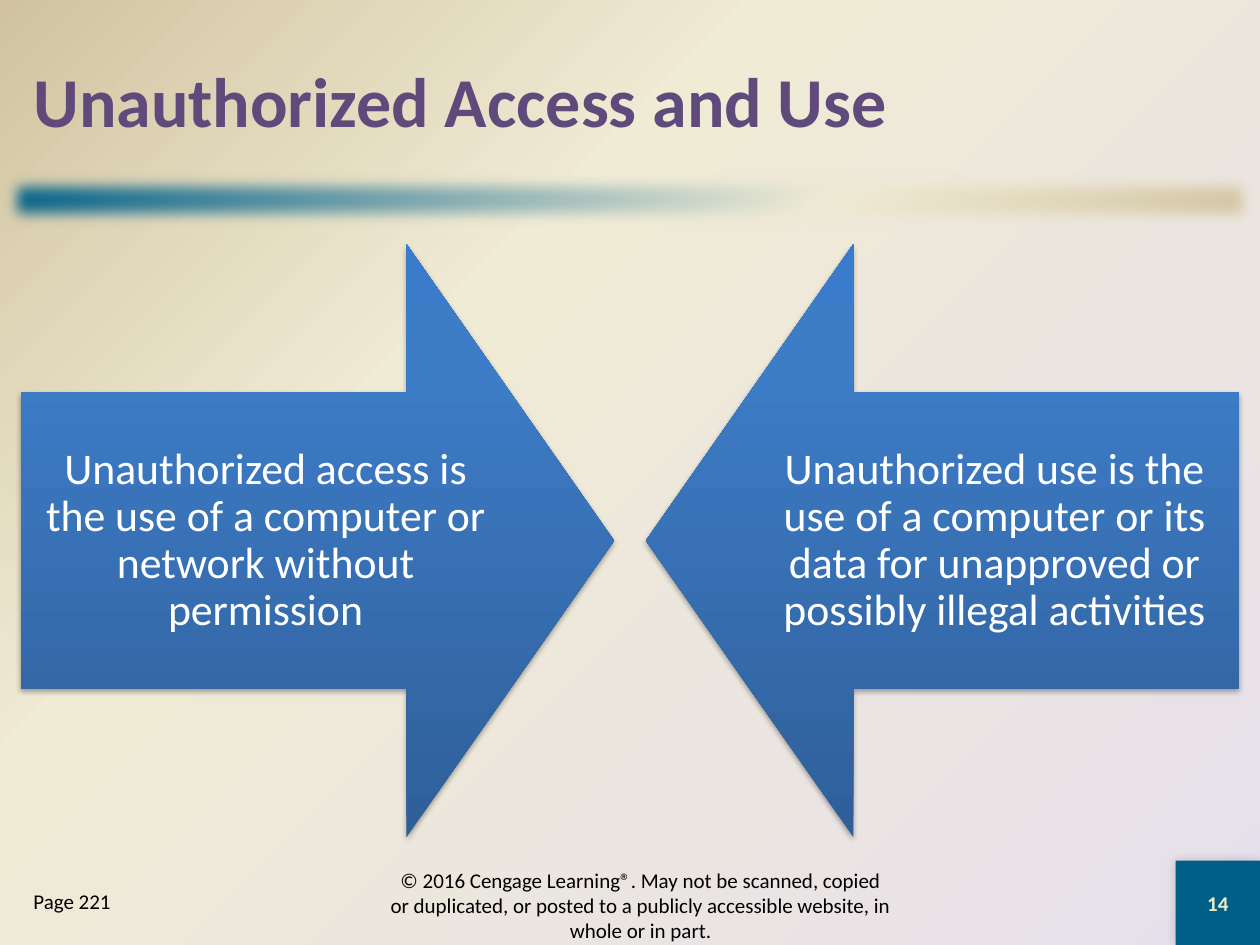
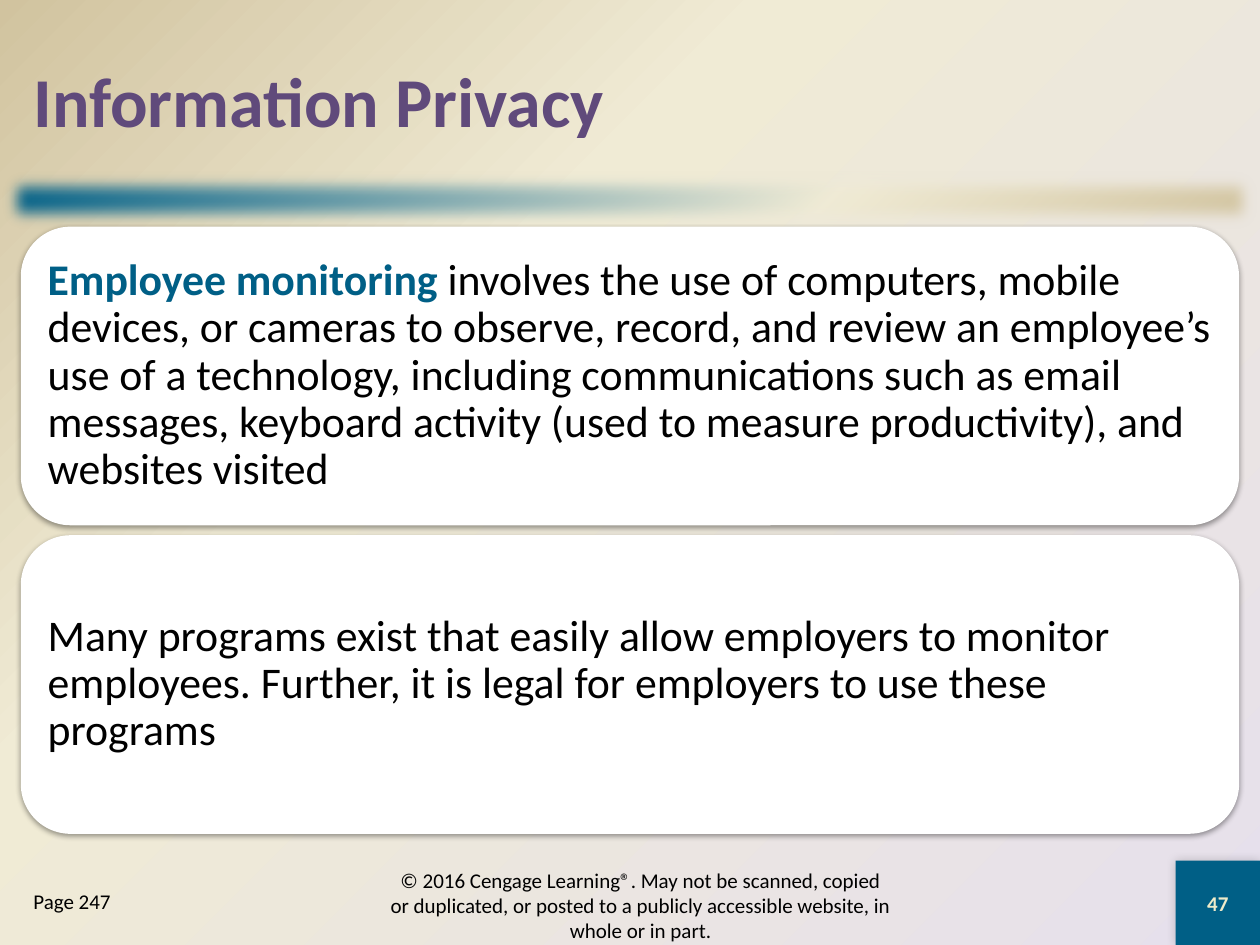
from pptx import Presentation
from pptx.dml.color import RGBColor
from pptx.enum.shapes import MSO_SHAPE as Form
from pptx.enum.text import MSO_ANCHOR as Anchor, MSO_AUTO_SIZE as Fit, PP_ALIGN as Align
from pptx.oxml import parse_xml
from pptx.oxml.ns import nsdecls, qn
from pptx.oxml.xmlchemy import OxmlElement
from pptx.util import Cm, Pt

TEAL, CREAM, SAND = "005F86", "F0EBD5", "D1C39F"
LILAC, PLUM, PALE = "E6E0EC", "604A7B", "EEEBCA"
BLACK, WHITE = "000000", "FFFFFF"
WIDTH, HEIGHT, EDGE, TILE = 25.4, 19.05, 0.42, 1.7
INNER = WIDTH - 2 * EDGE
NOTICE = ("© 2016 Cengage Learning®. May not be scanned, copied or duplicated, "
          "or posted to a publicly accessible website, in whole or in part.")


def color(code):
    return RGBColor.from_string(code)


def box(*sides):
    return [Cm(side) for side in sides]


def blend(parent, stops, course):
    marks = "".join(f'<a:gs pos="{spot * 1000}"><a:srgbClr val="{code}"/></a:gs>'
                    for spot, code in stops)
    fill = parse_xml(f'<a:gradFill {nsdecls("a")} rotWithShape="1">'
                     f'<a:gsLst>{marks}</a:gsLst>{course}</a:gradFill>')
    parent.replace(parent.find(qn("a:solidFill")), fill)


def slant(angle):
    return f'<a:lin ang="{angle * 60000}" scaled="0"/>'


def effect(shape, xml):
    shape.element.spPr.find(qn("a:effectLst")).append(parse_xml(xml))


def shade(shape, alpha, blur, dist, angle):
    effect(shape, f'<a:outerShdw {nsdecls("a")} blurRad="{Pt(blur)}" dist="{Pt(dist)}" '
                  f'dir="{angle * 60000}" rotWithShape="0"><a:srgbClr val="{BLACK}">'
                  f'<a:alpha val="{alpha * 1000}"/></a:srgbClr></a:outerShdw>')


def write(frame, text, lead="", size=12, ink=BLACK, bold=False, align=Align.LEFT,
          anchor=Anchor.MIDDLE, inset=None, line=None):
    frame.word_wrap = True
    frame.auto_size = Fit.NONE
    frame.vertical_anchor = anchor
    if inset is not None:
        frame.margin_left = frame.margin_right = Cm(inset)
        frame.margin_top = frame.margin_bottom = Cm(inset)
    para = frame.paragraphs[0]
    para.alignment = align
    para.space_before = Pt(0)
    if line:
        para.line_spacing = line
    for part, tint, heavy in ((lead, TEAL, True), (text, ink, bold)):
        if part:
            run = para.add_run()
            run.text = part
            run.font.name, run.font.size = "Calibri", Pt(size)
            run.font.bold, run.font.color.rgb = heavy, color(tint)


class Deck:
    """Holds the shared style and the current slide."""

    def __init__(self):
        self.file = Presentation()
        self.file.slide_width, self.file.slide_height = box(WIDTH, HEIGHT)
        master = self.file.slide_master
        master.background.fill.solid()
        blend(master.element.xpath("p:cSld/p:bg/p:bgPr")[0],
              ((0, LILAC), (65, CREAM), (100, SAND)),
              '<a:path path="circle"><a:fillToRect l="100000" t="100000"/></a:path>')

    def shape(self, form, place, fill):
        shape = self.slide.shapes.add_shape(form, *box(*place))
        shape.shadow.inherit = False
        shape.fill.solid()
        shape.fill.fore_color.rgb = color(fill)
        shape.line.fill.background()
        return shape

    def hold(self, index, place):
        holder = self.slide.placeholders[index]
        holder.left, holder.top, holder.width, holder.height = box(*place)
        return holder.text_frame

    def start(self, title, page, number):
        self.slide = self.file.slides.add_slide(self.file.slide_layouts[1])
        write(self.hold(0, (EDGE, EDGE, INNER, 3.18)), title, size=40, ink=PLUM, bold=True)
        self.band()
        self.foot(page, number)

    def band(self):
        band = self.shape(Form.RECTANGLE, (0, 3.39, WIDTH, 1.27), TEAL)
        blend(band.element.spPr, ((0, TEAL), (65, CREAM), (100, SAND)), slant(45))
        effect(band, f'<a:softEdge {nsdecls("a")} rad="{Pt(9)}"/>')

    def foot(self, page, number):
        tile = self.shape(Form.RECTANGLE, (WIDTH - TILE, HEIGHT - TILE, TILE, TILE), TEAL)
        shade(tile, 20, 6, 0, 225)
        write(tile.text_frame, number, ink=PALE, bold=True, align=Align.CENTER)
        note = self.slide.shapes.add_textbox(*box(7.62, 17.55, 10.59, 1.4))
        write(note.text_frame, NOTICE, align=Align.CENTER)
        frame = self.hold(1, (EDGE, 17.78, 4.65, 1.27))
        props = frame.paragraphs[0]._p.get_or_add_pPr()
        props.set("marL", "0")
        props.set("indent", "0")
        props.append(OxmlElement("a:buNone"))
        write(frame, page, anchor=Anchor.TOP)

    def arrow(self, form, left, text):
        arrow = self.shape(form, (left, 4.92, 11.96, 11.96), TEAL)
        arrow.adjustments[0], arrow.adjustments[1] = 0.5, 0.35
        blend(arrow.element.spPr, ((0, "2F5F99"), (80, "3D7CC7"), (100, "3A7CCB")), slant(270))
        shade(arrow, 35, 3.1, 1.8, 90)
        write(arrow.text_frame, text, size=25, ink=WHITE, align=Align.CENTER,
              inset=0.48, line=0.9)

    def card(self, row, text, lead=""):
        card = self.shape(Form.ROUNDED_RECTANGLE, (EDGE, 4.57 + row * 6.22, INNER, 6.02), WHITE)
        shade(card, 38, 3.1, 1.6, 90)
        write(card.text_frame, text, lead=lead, size=25, inset=0.25, line=0.9)


def main():
    deck = Deck()
    deck.start("Unauthorized Access and Use", "Page 221", "14")
    deck.arrow(Form.RIGHT_ARROW, EDGE,
               "Unauthorized access is the use of a computer or network without permission")
    deck.arrow(Form.LEFT_ARROW, WIDTH - EDGE - 11.96,
               "Unauthorized use is the use of a computer or its data for unapproved "
               "or possibly illegal activities")

    deck.start("Information Privacy", "Page 247", "47")
    deck.card(0, "involves the use of computers, mobile devices, or cameras to observe, "
                 "record, and review an employee’s use of a technology, including "
                 "communications such as email messages, keyboard activity (used to measure "
                 "productivity), and websites visited", lead="Employee monitoring ")
    deck.card(1, "Many programs exist that easily allow employers to monitor employees. "
                 "Further, it is legal for employers to use these programs")
    deck.file.save("out.pptx")


if __name__ == "__main__":
    main()
